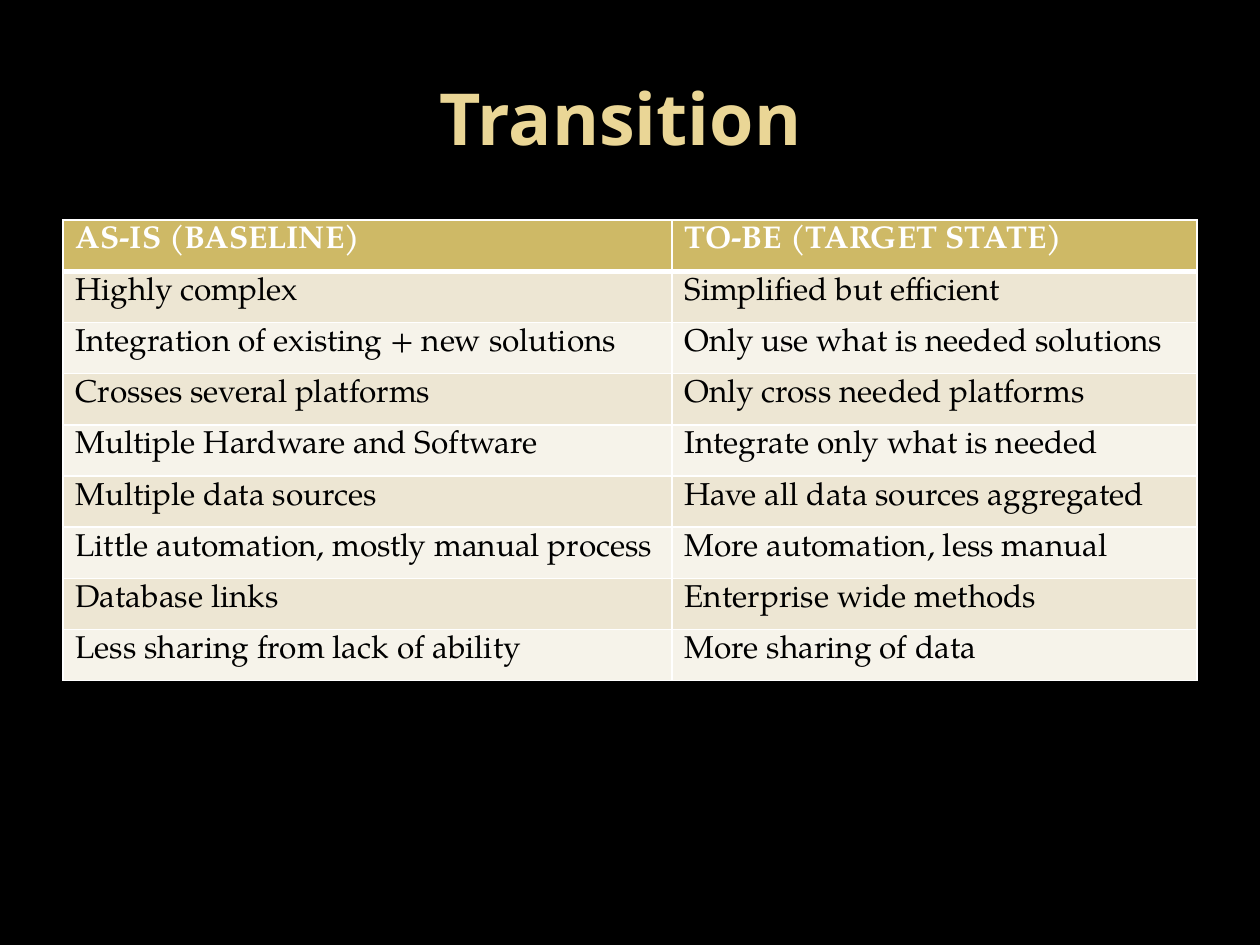
from dataclasses import dataclass

from lxml.etree import SubElement
from pptx import Presentation
from pptx.dml.color import RGBColor
from pptx.enum.text import MSO_ANCHOR, PP_ALIGN
from pptx.oxml.ns import qn
from pptx.util import Emu, Pt

TITLE = "Transition "
ROWS = [
    ("AS-IS (BASELINE)", "TO-BE (TARGET STATE)"),
    ("Highly complex", "Simplified but efficient"),
    ("Integration of existing + new solutions", "Only use what is needed solutions"),
    ("Crosses several platforms", "Only cross needed platforms"),
    ("Multiple Hardware and Software", "Integrate only what is needed"),
    ("Multiple data sources", "Have all data sources aggregated"),
    ("Little automation, mostly manual process", "More automation, less manual"),
    ("Database links", "Enterprise wide methods"),
    ("Less sharing from lack of ability", "More sharing of data"),
]
SLIDE_SIZE = (1260, 945)
TITLE_BOX = (63, 38, 1134, 158)
TABLE_BOX = (63, 220, 1134, 461)
COLUMN_WIDTHS = (609, 525)


@dataclass(frozen=True)
class Theme:
    background: str = "000000"
    title: str = "EAD696"
    header: str = "CEB966"
    header_text: str = "FFFFFF"
    bands: tuple = ("EDE6D3", "F6F3EA")
    body_text: str = "000000"
    border: str = "FFFFFF"
    title_font: str = "Noto Sans"
    table_font: str = "TeX Gyre Pagella"
    title_size: int = 41
    table_size: int = 18
    thin: int = 1
    thick: int = 3


THEME = Theme()


def px(n):
    return Emu(round(n * 914400 / 126))


def set_fill(fill, color):
    fill.solid()
    fill.fore_color.rgb = RGBColor.from_string(color)


def set_font(font, name, size, color, bold):
    font.name, font.size, font.bold = name, Pt(size), bold
    font.color.rgb = RGBColor.from_string(color)


def set_borders(cell, top, bottom):
    tc_pr = cell._tc.get_or_add_tcPr()
    widths = {"a:lnL": THEME.thin, "a:lnR": THEME.thin, "a:lnT": top, "a:lnB": bottom}
    for i, (tag, width) in enumerate(widths.items()):
        ln = SubElement(tc_pr, qn(tag), w=str(Pt(width)))
        solid = SubElement(ln, qn("a:solidFill"))
        SubElement(solid, qn("a:srgbClr"), val=THEME.border)
        tc_pr.insert(i, ln)


def add_title(s):
    tf = s.shapes.add_textbox(*map(px, TITLE_BOX)).text_frame
    tf.word_wrap = True
    tf.vertical_anchor = MSO_ANCHOR.MIDDLE
    p = tf.paragraphs[0]
    p.text = TITLE
    p.alignment = PP_ALIGN.CENTER
    set_font(p.font, THEME.title_font, THEME.title_size, THEME.title, True)


def add_comparison(s):
    table = s.shapes.add_table(len(ROWS), len(COLUMN_WIDTHS), *map(px, TABLE_BOX)).table
    for column, width in zip(table.columns, COLUMN_WIDTHS):
        column.width = px(width)
    for i, texts in enumerate(ROWS):
        header = i == 0
        fill = THEME.header if header else THEME.bands[(i - 1) % 2]
        color = THEME.header_text if header else THEME.body_text
        top = THEME.thick if i == 1 else THEME.thin
        bottom = THEME.thick if header else THEME.thin
        for j, text in enumerate(texts):
            cell = table.cell(i, j)
            set_fill(cell.fill, fill)
            set_borders(cell, top, bottom)
            p = cell.text_frame.paragraphs[0]
            p.text = text
            set_font(p.font, THEME.table_font, THEME.table_size, color, header)


def main():
    prs = Presentation()
    prs.slide_width, prs.slide_height = map(px, SLIDE_SIZE)
    s = prs.slides.add_slide(prs.slide_layouts[6])
    set_fill(s.background.fill, THEME.background)
    add_title(s)
    add_comparison(s)
    prs.save("out.pptx")


if __name__ == "__main__":
    main()
